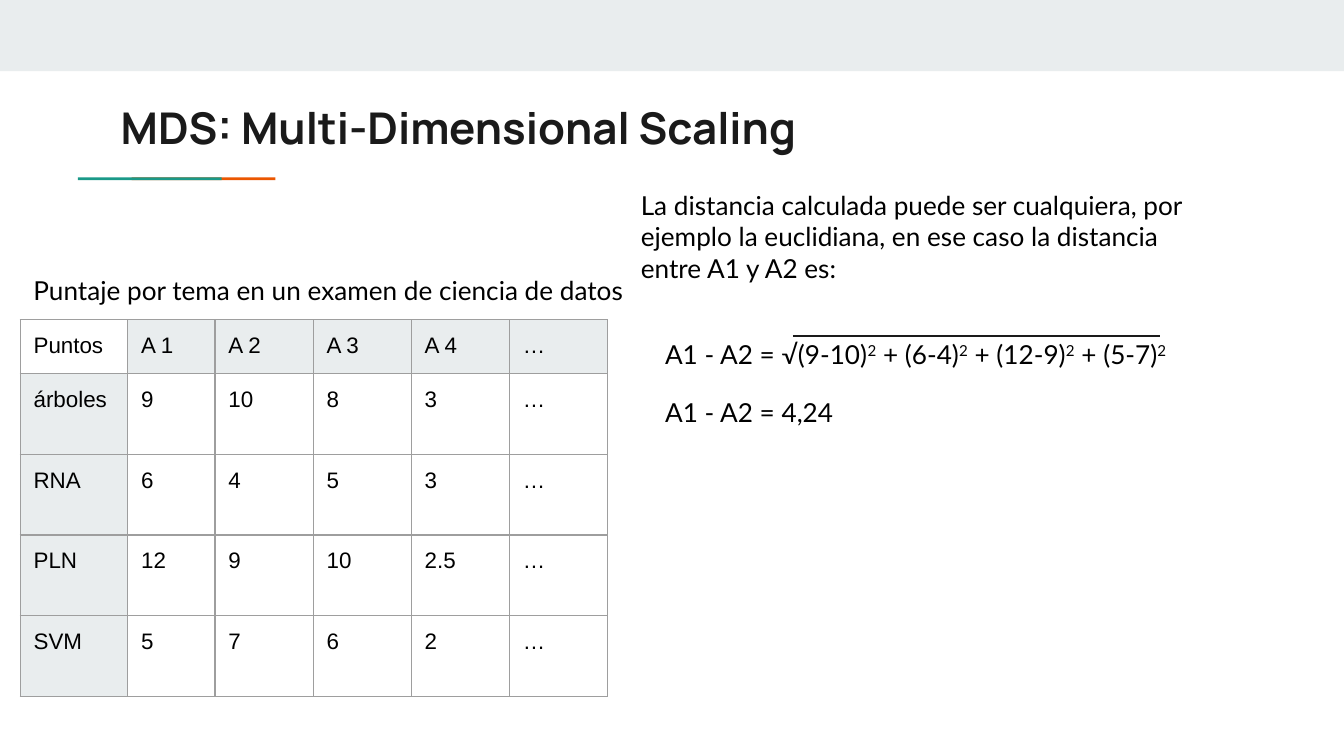
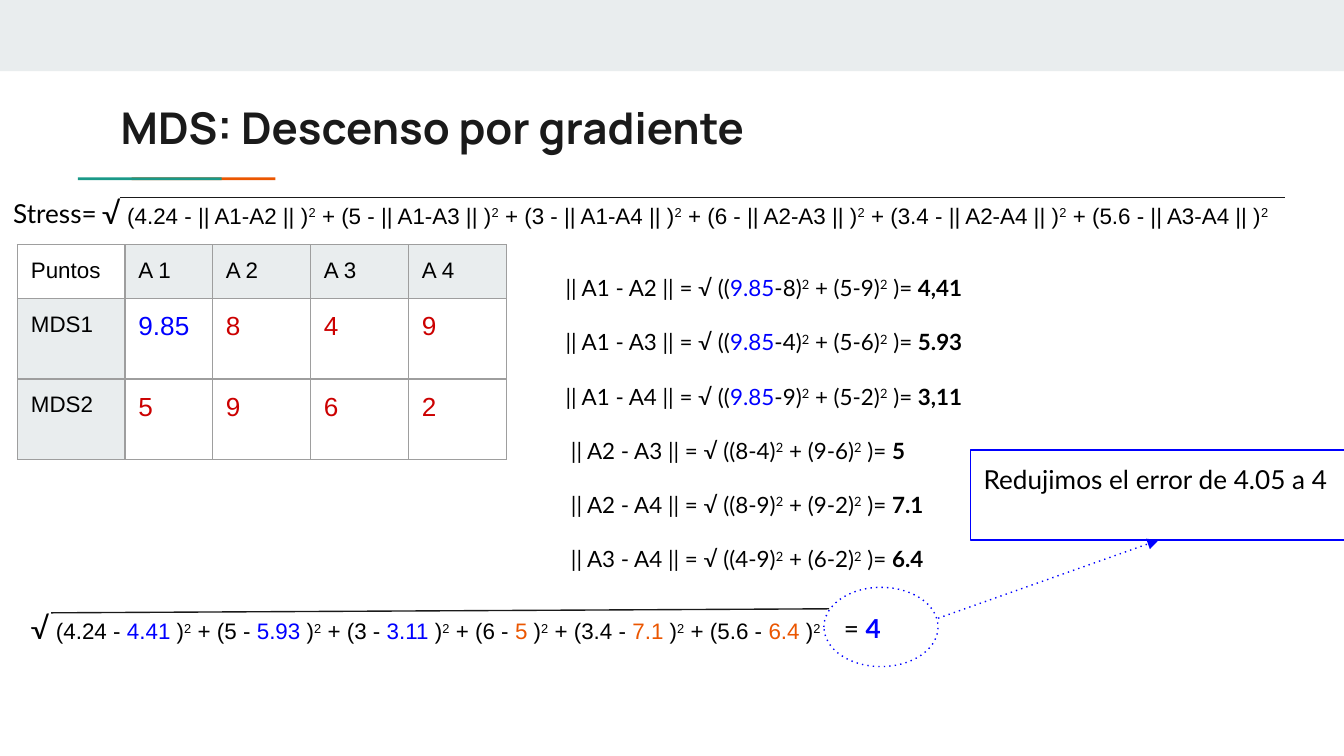
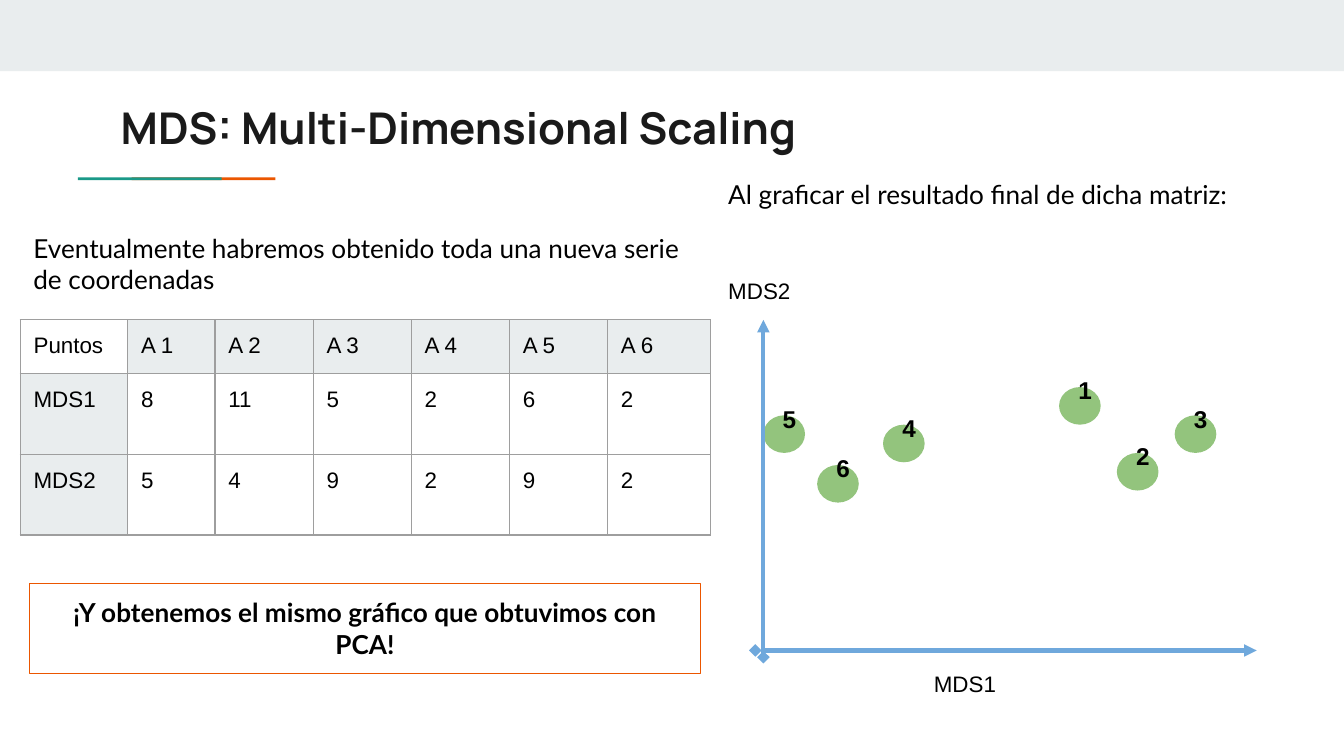
"""Build three slides that explain multidimensional scaling (MDS)."""
from lxml import etree
from pptx import Presentation
from pptx import util as u
from pptx.dml.color import RGBColor
from pptx.enum import shapes, text
from pptx.oxml import ns

SLIDE_WIDTH = 10
SLIDE_HEIGHT = SLIDE_WIDTH * 9 / 16
COLORS = {
    "band": "E9EDEE", "teal": "1A9988", "orange": "EB5600", "title": "1A1A1A",
    "text": "000000", "blue": "0000FF", "red": "CC0000", "grid": "9E9E9E",
    "axis": "6FA8DC", "point": "93C47D", "white": "FFFFFF",
}
BODY = {"name": "Lato", "size": 14, "color": "text"}
SMALL = {**BODY, "size": 12}
LABEL = {"name": "Arial", "size": 12, "color": "text"}
TITLE = {"name": "Manrope", "size": 23.4, "color": "title", "bold": True}
BOLD, BLUE = {"bold": True}, {"color": "blue"}
SQUARE = ("2", {"raised": True})
ROOT = [("√", {**BODY, "size": 16}), (" ", BODY)]

COLUMN_WIDTHS = [0.8, 0.65, 0.73, 0.73, 0.73, 0.73, 0.77]
HEADER_HEIGHT, ROW_HEIGHT = 0.35, 0.6

SCORES = [
    ["Puntos", "A 1", "A 2", "A 3", "A 4", "…"],
    ["árboles", "9", "10", "8", "3", "…"],
    ["RNA", "6", "4", "5", "3", "…"],
    ["PLN", "12", "9", "10", "2.5", "…"],
    ["SVM", "5", "7", "6", "2", "…"],
]
DESCENT = [
    ["Puntos", "A 1", "A 2", "A 3", "A 4"],
    ["MDS1", "9.85", "8", "4", "9"],
    ["MDS2", "5", "9", "6", "2"],
]
FINAL = [
    ["Puntos", "A 1", "A 2", "A 3", "A 4", "A 5", "A 6"],
    ["MDS1", "8", "11", "5", "2", "6", "2"],
    ["MDS2", "5", "4", "9", "2", "9", "2"],
]
MOVED = "9.85"
EUCLIDEAN = ["(9-10)", "(6-4)", "(12-9)", "(5-7)"]
DISTANCES = [
    ("A1 - A2", MOVED, "8", "5-9", "4,41"),
    ("A1 - A3", MOVED, "4", "5-6", "5.93"),
    ("A1 - A4", MOVED, "9", "5-2", "3,11"),
    ("A2 - A3", "8", "4", "9-6", "5"),
    ("A2 - A4", "8", "9", "9-2", "7.1"),
    ("A3 - A4", "4", "9", "6-2", "6.4"),
]
STRESS = [
    ("4.24", "A1-A2", "4.41", "blue"),
    ("5", "A1-A3", "5.93", "blue"),
    ("3", "A1-A4", "3.11", "blue"),
    ("6", "A2-A3", "5", "orange"),
    ("3.4", "A2-A4", "7.1", "orange"),
    ("5.6", "A3-A4", "6.4", "orange"),
]
POINTS = [
    ("6", 6.08, 3.46), ("5", 5.68, 3.09), ("4", 6.57, 3.16),
    ("3", 8.74, 3.09), ("1", 7.88, 2.88), ("2", 8.31, 3.37),
]
AXES = [((5.62, 4.84), (9.35, 4.84)), ((5.68, 4.89), (5.68, 2.38))]


def rgb(color):
    return RGBColor.from_string(COLORS[color])


def inches(*lengths):
    return [u.Inches(length) for length in lengths]


def set_margins(holder):
    for side in ("left", "top", "right", "bottom"):
        setattr(holder, f"margin_{side}", u.Inches(0.1))


def write_runs(paragraph, content, base, align=text.PP_ALIGN.LEFT):
    paragraph.alignment = align
    for words, changes in [(content, {})] if isinstance(content, str) else content:
        run = paragraph.add_run()
        run.text = words
        style = {"bold": False, **base, **changes}
        run.font.color.rgb = rgb(style.pop("color"))
        if style.pop("raised", False):
            run._r.get_or_add_rPr().set("baseline", "30000")
        style["size"] = u.Pt(style["size"])
        for attribute, value in style.items():
            setattr(run.font, attribute, value)


def write(frame, content, base, align=text.PP_ALIGN.LEFT, anchor=text.MSO_ANCHOR.TOP):
    frame.word_wrap = True
    frame.vertical_anchor = anchor
    set_margins(frame)
    write_runs(frame.paragraphs[0], content, base, align)


def add_text(slide, at, content, base=BODY):
    write(slide.shapes.add_textbox(*inches(*at)).text_frame, content, base)


def set_line(line, color, width=0.75, dotted=False):
    line.color.rgb = rgb(color)
    line.width = u.Pt(width)
    if dotted:
        etree.SubElement(line._get_or_add_ln(), ns.qn("a:prstDash"), val="dot")


def add_shape(slide, kind, at, fill=None, outline=None, dotted=False):
    shape = slide.shapes.add_shape(kind, *inches(*at))
    shape.shadow.inherit = False
    if fill:
        shape.fill.solid()
        shape.fill.fore_color.rgb = rgb(fill)
    else:
        shape.fill.background()
    if outline:
        set_line(shape.line, outline, dotted=dotted)
    else:
        shape.line.fill.background()
    return shape


def add_line(slide, start, end, color="title", width=0.75, dotted=False, **arrowheads):
    line = slide.shapes.add_connector(shapes.MSO_CONNECTOR.STRAIGHT, *inches(*start, *end))
    set_line(line.line, color, width, dotted)
    properties = line._element.spPr
    outline = properties.find(ns.qn("a:ln"))
    for end_name in ("headEnd", "tailEnd"):
        if end_name in arrowheads:
            etree.SubElement(outline, ns.qn(f"a:{end_name}"), type=arrowheads[end_name])
    etree.SubElement(properties, ns.qn("a:effectLst"))


def add_borders(cell):
    properties = cell._tc.get_or_add_tcPr()
    for position, side in enumerate(("lnL", "lnR", "lnT", "lnB")):
        border = etree.Element(ns.qn(f"a:{side}"), w=str(u.Pt(0.75)))
        fill = etree.SubElement(border, ns.qn("a:solidFill"))
        etree.SubElement(fill, ns.qn("a:srgbClr"), val=COLORS["grid"])
        properties.insert(position, border)


def add_points_table(slide, left, top, rows, value_style=lambda value: {}):
    widths = COLUMN_WIDTHS[:len(rows[0])]
    heights = [HEADER_HEIGHT] + [ROW_HEIGHT] * (len(rows) - 1)
    table = slide.shapes.add_table(
        len(rows), len(widths), *inches(left, top, sum(widths), sum(heights))).table
    table.first_row = table.horz_banding = False
    for column, width in zip(table.columns, widths):
        column.width = u.Inches(width)
    for r, (row, height) in enumerate(zip(rows, heights)):
        table.rows[r].height = u.Inches(height)
        for c, value in enumerate(row):
            cell = table.cell(r, c)
            if (r == 0) != (c == 0):
                cell.fill.solid()
                cell.fill.fore_color.rgb = rgb("band")
            else:
                cell.fill.background()
            style = value_style(value) if r and c else {}
            write_runs(cell.text_frame.paragraphs[0], [(value, style)], LABEL)
            set_margins(cell)
            add_borders(cell)


def new_slide(deck, title):
    slide = deck.slides.add_slide(deck.slide_layouts[6])
    rectangle = shapes.MSO_SHAPE.RECTANGLE
    add_shape(slide, rectangle, (0, 0, SLIDE_WIDTH, 0.53), "band")
    for left, color in ((0.98, "orange"), (0.58, "teal")):
        add_shape(slide, rectangle, (left, 1.32, 1.07, 0.02), color)
    add_text(slide, (0.8, 0.65, 8.41, 0.59), title, TITLE)
    return slide


def squared_sum(terms):
    runs = []
    for index, term in enumerate(terms):
        (opening, style), *rest = term
        sign = " + " if index else ""
        runs += [(sign + opening, style), *rest, SQUARE]
    return runs


def distance_runs(pair, first, second, other, result):
    return [
        (f"|| {pair} || = √ ((", {}), (first, BLUE if first == MOVED else {}),
        (f"-{second})", {}), SQUARE, (f" + ({other})", {}), SQUARE,
        (" )= ", {}), (result, BOLD),
    ]


def descent_style(value):
    return {"size": 14, "color": "blue" if value == MOVED else "red"}


def build_scores(deck):
    slide = new_slide(deck, "MDS: Multi-Dimensional Scaling")
    add_points_table(slide, 0.15, 2.38, SCORES)
    add_text(slide, (0.15, 1.94, 5.13, 0.44),
             "Puntaje por tema en un examen de ciencia de datos")
    add_text(slide, (4.67, 1.31, 4.44, 1.14),
             "La distancia calculada puede ser cualquiera, por ejemplo la euclidiana, "
             "en ese caso la distancia entre A1 y A2 es:")
    differences = [[(term, {})] for term in EUCLIDEAN]
    add_text(slide, (4.85, 2.42, 4.63, 0.44),
             [("A1 - A2 = √", {})] + squared_sum(differences))
    add_line(slide, (5.9, 2.5), (8.63, 2.5))
    add_text(slide, (4.85, 2.85, 4.61, 0.44), "A1 - A2 = 4,24")


def build_descent(deck):
    slide = new_slide(deck, "MDS: Descenso por gradiente")
    add_points_table(slide, 0.13, 1.82, DESCENT, descent_style)
    symbolic = [[(f"({target} - || {pair} || )", {})] for target, pair, _, _ in STRESS]
    numeric = [[(f"({target} - ", {}), (value, {"color": color}), (" )", {})]
               for target, _, value, color in STRESS]
    add_text(slide, (0.66, 1.35, 9.26, 0.47), ROOT + squared_sum(symbolic), LABEL)
    add_line(slide, (0.89, 1.47), (9.56, 1.47))
    for index, distance in enumerate(DISTANCES):
        left = 4.11 if distance[1] == MOVED else 4.15
        add_text(slide, (left, 1.94 + index * 2.02 / 5, 3.3, 0.4),
                 distance_runs(*distance), SMALL)
    add_text(slide, (0.13, 4.44, 6.13, 0.47), ROOT + squared_sum(numeric), LABEL)
    add_line(slide, (0.38, 4.56), (6.17, 4.53))
    add_text(slide, (6.18, 4.46, 0.8, 0.44), [("= ", {}), ("4", {**BLUE, **BOLD})])
    add_shape(slide, shapes.MSO_SHAPE.OVAL, (6.13, 4.37, 0.85, 0.59),
              outline="blue", dotted=True)
    callout = add_shape(slide, shapes.MSO_SHAPE.RECTANGLE, (7.22, 3.35, 2.8, 0.67),
                        outline="blue")
    write(callout.text_frame, "Redujimos el error de 4.05 a 4", BODY)
    add_line(slide, (6.98, 4.6), (8.62, 4.02), "blue", dotted=True, tailEnd="triangle")
    add_text(slide, (0, 1.37, 0.89, 0.44), "Stress=")


def build_final(deck):
    slide = new_slide(deck, "MDS: Multi-Dimensional Scaling")
    add_points_table(slide, 0.15, 2.38, FINAL)
    add_text(slide, (0.15, 1.63, 5.13, 0.67),
             "Eventualmente habremos obtenido toda una nueva serie de coordenadas")
    for number, left, top in POINTS:
        point = add_shape(slide, shapes.MSO_SHAPE.OVAL, (left, top, 0.31, 0.28), "point")
        write(point.text_frame, [(number, {"size": 13, **BOLD}), (" ", {"size": 14})],
              LABEL, text.PP_ALIGN.CENTER, text.MSO_ANCHOR.MIDDLE)
    for start, end in AXES:
        add_line(slide, start, end, "axis", 2.25, headEnd="diamond", tailEnd="triangle")
    for name, left, top in (("MDS1", 6.85, 4.89), ("MDS2", 5.32, 1.96)):
        add_text(slide, (left, top, 1.22, 0.4), name, LABEL)
    add_text(slide, (5.32, 1.23, 4.56, 0.44),
             "Al graficar el resultado final de dicha matriz:")
    conclusion = add_shape(slide, shapes.MSO_SHAPE.RECTANGLE, (0.22, 4.34, 4.99, 0.67),
                           "white", "orange")
    write(conclusion.text_frame, "¡Y obtenemos el mismo gráfico que obtuvimos con PCA!",
          {**BODY, **BOLD}, text.PP_ALIGN.CENTER)


def main():
    deck = Presentation()
    deck.slide_width, deck.slide_height = inches(SLIDE_WIDTH, SLIDE_HEIGHT)
    for build in (build_scores, build_descent, build_final):
        build(deck)
    deck.save("out.pptx")


if __name__ == "__main__":
    main()
